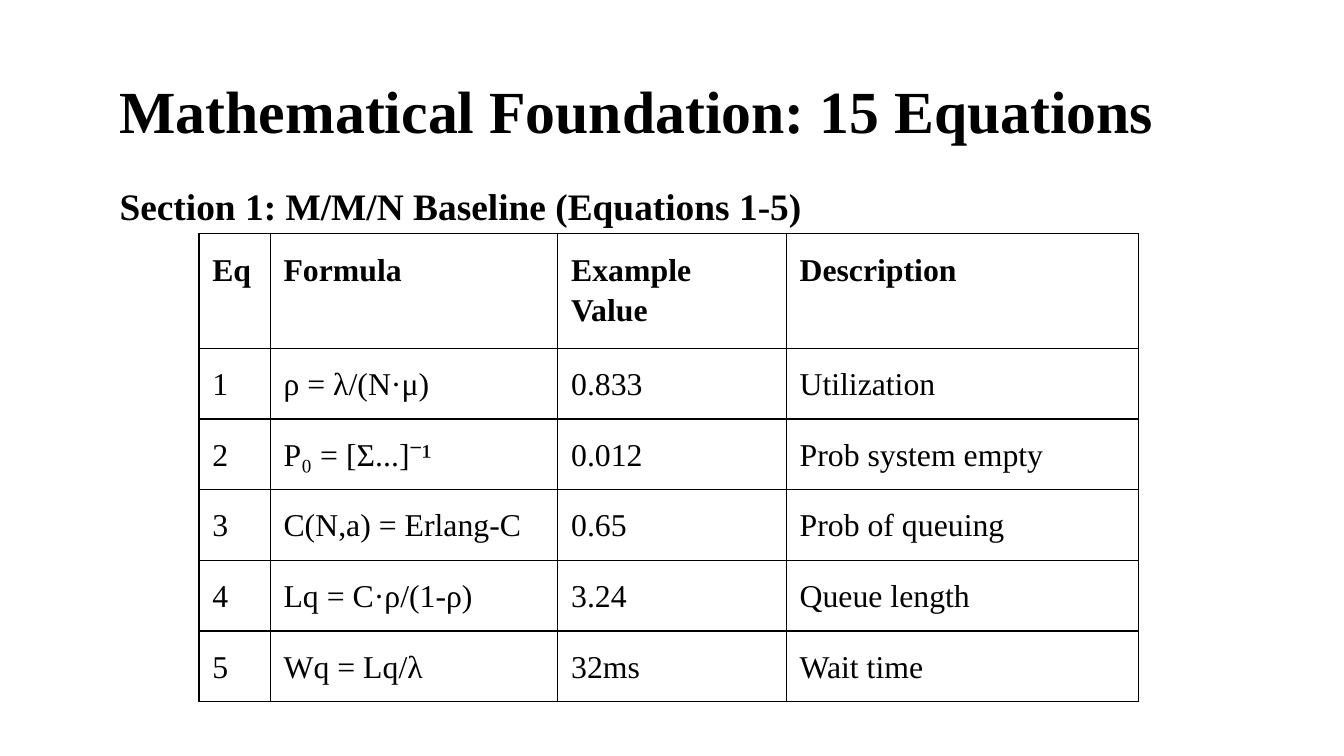
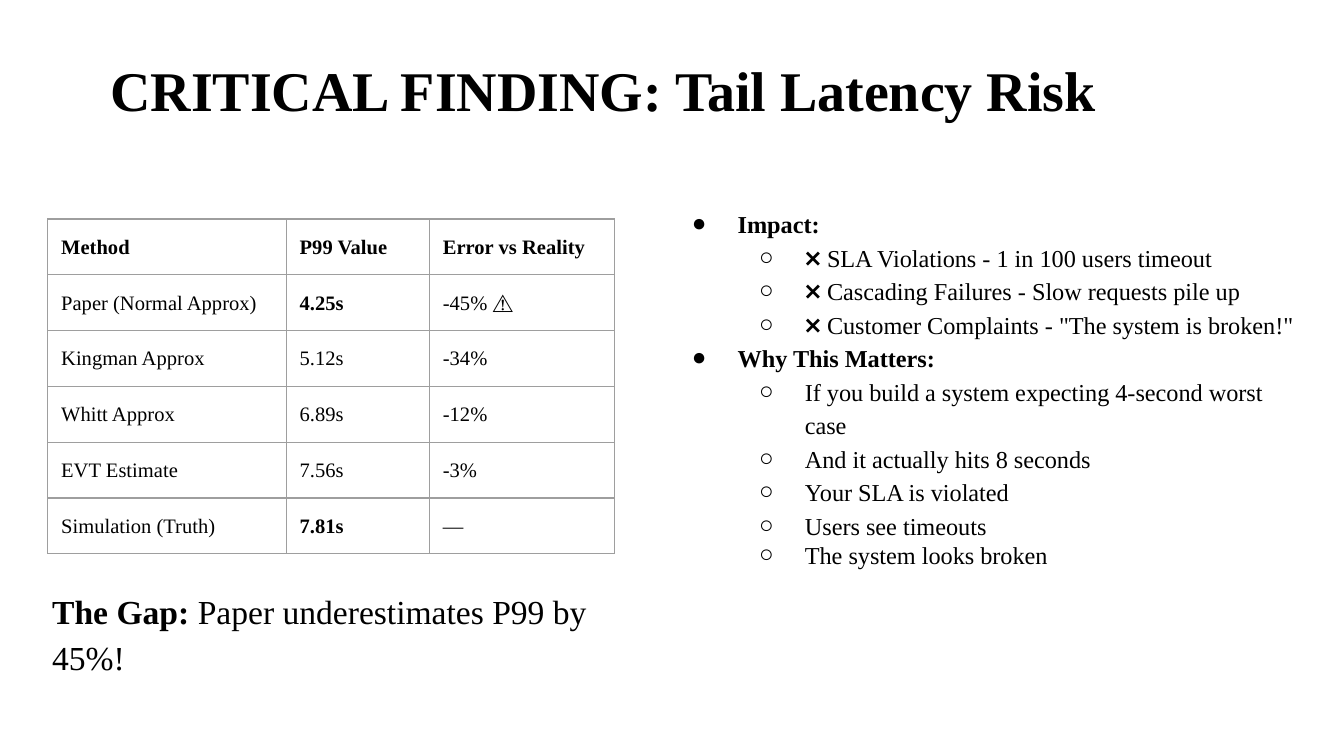
from dataclasses import dataclass
from typing import NamedTuple

from lxml.etree import SubElement
from pptx import Presentation
from pptx.dml.color import RGBColor
from pptx.enum.text import MSO_AUTO_SIZE as AutoSize
from pptx.oxml.ns import qn
from pptx.util import Emu, Pt

# Shared look: 200 px to the inch
PX = 4572
PAGE_WIDTH = 2000
PAGE_HEIGHT = 1125
FONT = "Times New Roman"
BLACK = RGBColor(0x00, 0x00, 0x00)
GREY = RGBColor(0x9E, 0x9E, 0x9E)
WHITE = RGBColor(0xFF, 0xFF, 0xFF)
BODY_SPACING = 1.15
PADDING = 20
BORDER_WIDTH = Pt(0.75)
BULLETS = "●○"
INDENT = 100
HANGING = 68
TITLE_WIDTH = 1700


class Span(NamedTuple):
    text: str
    bold: bool = False


@dataclass
class Para:
    spans: list[Span]
    size: float
    spacing: float | None = BODY_SPACING
    after: float = 0
    level: int | None = None  # None means no bullet


@dataclass
class TextBox:
    left: int
    top: int
    width: int
    height: int
    paras: list[Para]
    padding: int = PADDING


@dataclass
class Grid:
    left: int
    top: int
    columns: list[int]
    row_heights: list[int]
    size: float
    border: RGBColor
    rows: list[list[str]]
    bold_cells: frozenset[tuple[int, int]] = frozenset()


def px(length: int) -> Emu:
    return Emu(length * PX)


def add_bullet(paragraph, level: int) -> None:
    paragraph.level = level
    properties = paragraph._p.get_or_add_pPr()
    properties.set("marL", str(px(INDENT * (level + 1))))
    properties.set("indent", str(px(-HANGING)))
    color = SubElement(properties, qn("a:buClr"))
    SubElement(color, qn("a:srgbClr"), val=str(BLACK))
    SubElement(properties, qn("a:buFont"), typeface=FONT)
    SubElement(properties, qn("a:buChar"), char=BULLETS[level])


def write_para(paragraph, para: Para) -> None:
    if para.spacing:
        paragraph.line_spacing = para.spacing
    if para.after:
        paragraph.space_after = Pt(para.after)
    if para.level is not None:
        add_bullet(paragraph, para.level)
    for span in para.spans:
        run = paragraph.add_run()
        run.text = span.text
        run.font.name = FONT
        run.font.size = Pt(para.size)
        run.font.bold = span.bold
        run.font.color.rgb = BLACK


def set_padding(target, padding: int) -> None:
    target.margin_left = target.margin_right = px(padding)
    target.margin_top = target.margin_bottom = px(padding)


def draw_text(page, box: TextBox) -> None:
    shape = page.shapes.add_textbox(px(box.left), px(box.top), px(box.width), px(box.height))
    frame = shape.text_frame
    frame.word_wrap = True
    frame.auto_size = AutoSize.SHAPE_TO_FIT_TEXT
    set_padding(frame, box.padding)
    for index, para in enumerate(box.paras):
        write_para(frame.add_paragraph() if index else frame.paragraphs[0], para)


def draw_title(page, text: str, left: int, top: int, height: int, size: float) -> None:
    para = Para([Span(text, True)], size, spacing=None)
    draw_text(page, TextBox(left, top, TITLE_WIDTH, height, [para], padding=0))


def set_borders(cell, color: RGBColor) -> None:
    properties = cell._tc.get_or_add_tcPr()
    for side in ("lnL", "lnR", "lnT", "lnB"):
        line = SubElement(properties, qn(f"a:{side}"), w=str(BORDER_WIDTH))
        fill = SubElement(line, qn("a:solidFill"))
        SubElement(fill, qn("a:srgbClr"), val=str(color))


def draw_grid(page, grid: Grid) -> None:
    frame = page.shapes.add_table(
        len(grid.rows), len(grid.columns), px(grid.left), px(grid.top),
        px(sum(grid.columns)), px(sum(grid.row_heights)))
    table = frame.table
    table.first_row = table.horz_banding = False
    for column, width in zip(table.columns, grid.columns):
        column.width = px(width)
    for row, height in zip(table.rows, grid.row_heights):
        row.height = px(height)
    for r, texts in enumerate(grid.rows):
        for c, text in enumerate(texts):
            cell = table.cell(r, c)
            set_padding(cell, PADDING)
            set_borders(cell, grid.border)
            cell.fill.background()
            bold = r == 0 or (r, c) in grid.bold_cells
            write_para(cell.text_frame.paragraphs[0], Para([Span(text, bold)], grid.size))


def add_page(deck):
    page = deck.slides.add_slide(deck.slide_layouts[6])
    page.background.fill.solid()
    page.background.fill.fore_color.rgb = WHITE
    return page


# Slide content
EQUATIONS = Grid(
    296, 348, [106, 428, 340, 524], [116] + [82] * 5, 17, BLACK,
    [
        ["Eq", "Formula", "Example Value", "Description"],
        ["1", "ρ = λ/(N·μ)", "0.833", "Utilization"],
        ["2", "P₀ = [Σ...]⁻¹", "0.012", "Prob system empty"],
        ["3", "C(N,a) = Erlang-C", "0.65", "Prob of queuing"],
        ["4", "Lq = C·ρ/(1-ρ)", "3.24", "Queue length"],
        ["5", "Wq = Lq/λ", "32ms", "Wait time"],
    ])

LATENCIES = Grid(
    71, 326, [355, 213, 276], [83] * 6, 11, GREY,
    [
        ["Method", "P99 Value", "Error vs Reality"],
        ["Paper (Normal Approx)", "4.25s", "-45% ⚠️"],
        ["Kingman Approx", "5.12s", "-34%"],
        ["Whitt Approx", "6.89s", "-12%"],
        ["EVT Estimate", "7.56s", "-3%"],
        ["Simulation (Truth)", "7.81s", "—"],
    ],
    frozenset({(1, 1), (5, 1)}))

FINDINGS = {
    "Impact:": [
        "❌ SLA Violations - 1 in 100 users timeout",
        "❌ Cascading Failures - Slow requests pile up",
        '❌ Customer Complaints - "The system is broken!"',
    ],
    "Why This Matters:": [
        "If you build a system expecting 4-second worst case",
        "And it actually hits 8 seconds",
        "Your SLA is violated",
        "Users see timeouts",
        "The system looks broken",
    ],
}


def build_equations(deck) -> None:
    page = add_page(deck)
    draw_title(page, "Mathematical Foundation: 15 Equations", 178, 110, 108, 32)
    section = Para([Span("Section 1: M/M/N Baseline (Equations 1-5)", True)], 20, spacing=1.2)
    draw_text(page, TextBox(178, 260, 1400, 68, [section], padding=0))
    draw_grid(page, EQUATIONS)


def build_latency(deck) -> None:
    page = add_page(deck)
    draw_title(page, "CRITICAL FINDING: Tail Latency Risk", 164, 83, 100, 30)
    draw_grid(page, LATENCIES)
    paras = []
    for heading, points in FINDINGS.items():
        paras.append(Para([Span(heading, True)], 13, level=0))
        paras += [Para([Span(point)], 13, level=1) for point in points]
    paras[-1].spacing = None
    draw_text(page, TextBox(978, 285, 982, 638, paras))
    gap = Para([Span("The Gap: ", True), Span("Paper underestimates P99 by 45%!")], 18, after=12)
    draw_text(page, TextBox(58, 850, 872, 170, [gap]))


def main() -> None:
    deck = Presentation()
    deck.slide_width, deck.slide_height = px(PAGE_WIDTH), px(PAGE_HEIGHT)
    build_equations(deck)
    build_latency(deck)
    deck.save("out.pptx")


if __name__ == "__main__":
    main()
